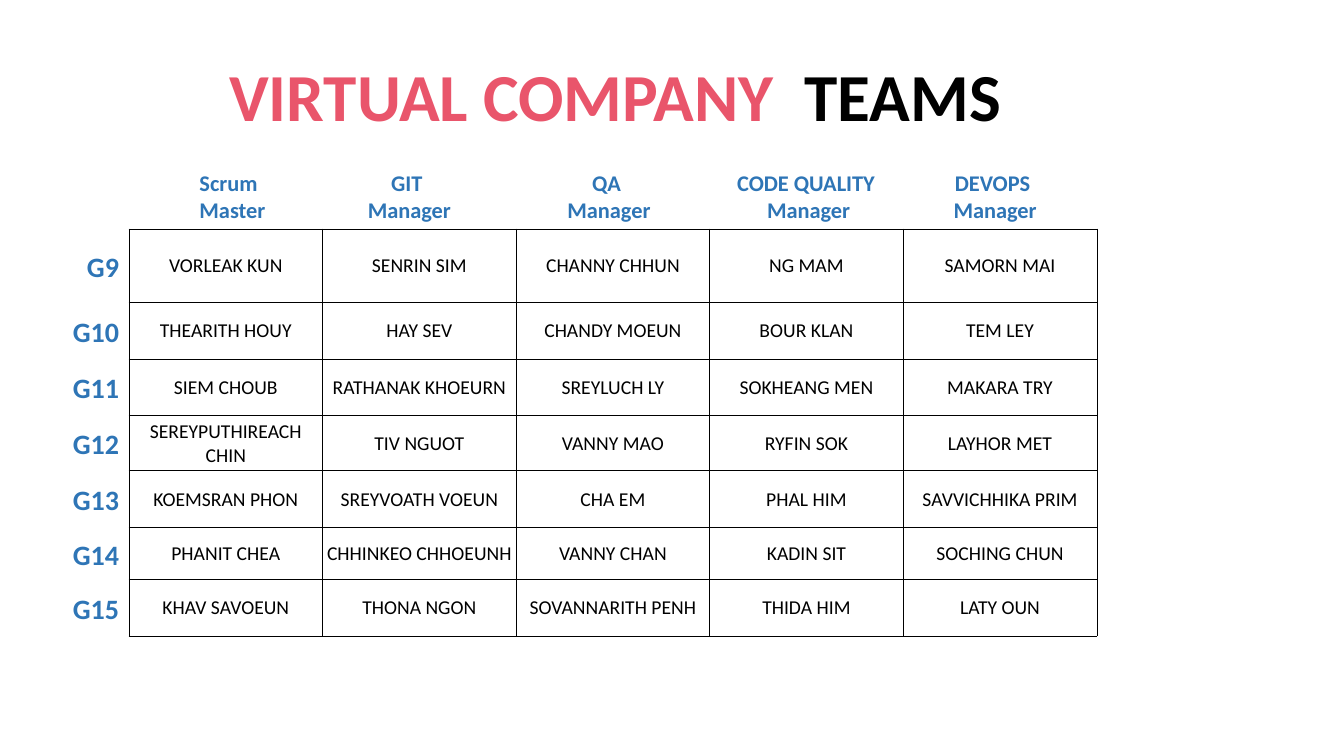
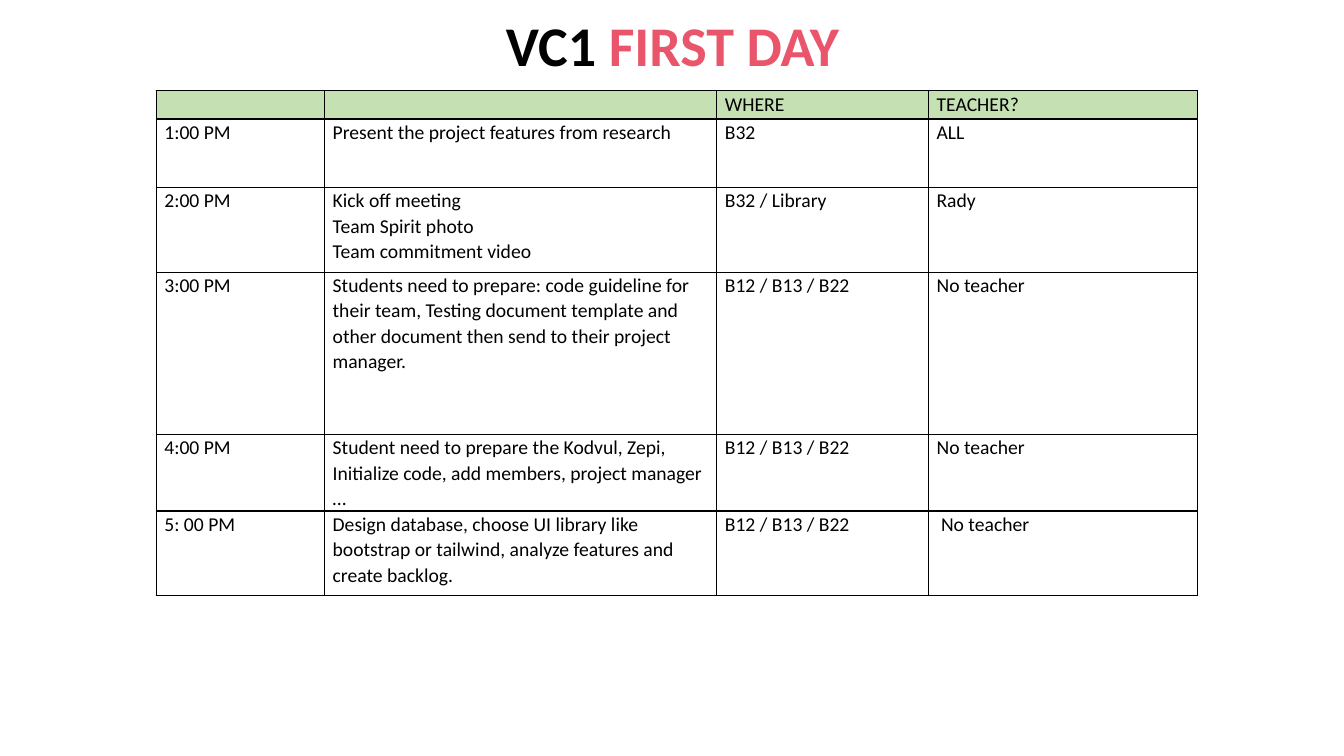
import dataclasses
import lxml.etree
import pptx
import pptx.dml.color
import pptx.enum.text
import pptx.oxml.ns
import pptx.util

Inches = pptx.util.Inches
Pt = pptx.util.Pt
ALIGN = pptx.enum.text.PP_ALIGN
ANCHOR = pptx.enum.text.MSO_ANCHOR
qn = pptx.oxml.ns.qn


@dataclasses.dataclass(frozen=True)
class Theme:
    font: str = "Calibri"
    black: str = "000000"
    white: str = "FFFFFF"
    accent: str = "E9556B"
    label: str = "2E75B6"
    header: str = "C5E0B3"
    team_title: int = 48
    day_title: int = 40
    row_label: int = 20
    column_label: int = 16
    cell: int = 14


@dataclasses.dataclass(frozen=True)
class TableStyle:
    insets: tuple
    border: float
    align: ALIGN = ALIGN.LEFT
    anchor: ANCHOR = ANCHOR.TOP
    line_spacing: float = 1.0


THEME = Theme()
TEAM_STYLE = TableStyle((0.01, 0.01, 0.01, 0), 0.5, ALIGN.CENTER, ANCHOR.MIDDLE)
DAY_STYLE = TableStyle((0.08, 0, 0.08, 0), 1, line_spacing=1.07)

TEAM_LEFT, TEAM_TOP = 1.28, 2.27
TEAM_COLUMNS = [1.92] * 5
TEAM_HEIGHTS = [0.73, 0.56, 0.56, 0.55, 0.56, 0.52, 0.56]
TEAMS = {
    "G9": ["VORLEAK KUN", "SENRIN SIM", "CHANNY CHHUN", "NG MAM", "SAMORN MAI"],
    "G10": ["THEARITH HOUY", "HAY SEV", "CHANDY MOEUN", "BOUR KLAN", "TEM LEY"],
    "G11": ["SIEM CHOUB", "RATHANAK KHOEURN", "SREYLUCH LY", "SOKHEANG MEN", "MAKARA TRY"],
    "G12": ["SEREYPUTHIREACH CHIN", "TIV NGUOT", "VANNY MAO", "RYFIN SOK", "LAYHOR MET"],
    "G13": ["KOEMSRAN PHON", "SREYVOATH VOEUN", "CHA EM", "PHAL HIM", "SAVVICHHIKA PRIM"],
    "G14": ["PHANIT CHEA", "CHHINKEO CHHOEUNH", "VANNY CHAN", "KADIN SIT", "SOCHING CHUN"],
    "G15": ["KHAV SAVOEUN", "THONA NGON", "SOVANNARITH PENH", "THIDA HIM", "LATY OUN"],
}
ROLES = [
    (["Scrum", "Master"], 1.88, 0.92, ALIGN.LEFT),
    (["GIT ", "Manager"], 3.54, 1.04, ALIGN.CENTER),
    (["QA ", "Manager"], 5.52, 1.04, ALIGN.CENTER),
    (["CODE QUALITY ", "Manager"], 7.2, 1.64, ALIGN.CENTER),
    (["DEVOPS ", "Manager"], 9.35, 1.04, ALIGN.CENTER),
]

DAY_COLUMNS = [1.67, 3.89, 2.1, 2.67]
DAY_HEIGHTS = [0.28, 0.68, 0.84, 1.61, 0.76, 0.84]
ROOMS = "B12 / B13 / B22"
SCHEDULE = [
    ["", "", "WHERE", "TEACHER?"],
    ["1:00 PM", "Present the project features from research", "B32", "ALL"],
    ["2:00 PM", "Kick off meeting\nTeam Spirit photo\nTeam commitment video",
     "B32 / Library", "Rady"],
    ["3:00 PM", "Students need to prepare: code guideline for their team, Testing document "
     "template and other document then send to their project manager.", ROOMS, "No teacher"],
    ["4:00 PM", "Student need to prepare the Kodvul, Zepi, Initialize code, add members, "
     "project manager …", ROOMS, "No teacher"],
    ["5: 00 PM", "Design database, choose UI library like bootstrap or tailwind, analyze "
     "features and create backlog.", ROOMS, " No teacher"],
]


def rgb(color):
    return pptx.dml.color.RGBColor.from_string(color)


def add_run(p, text, size, color, bold=False):
    r = p.add_run()
    r.text = text
    r.font.name = THEME.font
    r.font.size = Pt(size)
    r.font.bold = bold
    r.font.color.rgb = rgb(color)


def add_paragraphs(tf, lines, size, color, align, bold=False, line_spacing=1.0):
    for i, line in enumerate(lines):
        p = tf.paragraphs[0] if i == 0 else tf.add_paragraph()
        p.alignment = align
        p.line_spacing = line_spacing
        if line:
            add_run(p, line, size, color, bold)
        else:
            lxml.etree.SubElement(p._p, qn("a:endParaRPr"), sz=str(size * 100))


def add_title(s, box, size, parts):
    sp = s.shapes.title
    sp.left, sp.top, sp.width, sp.height = map(Inches, box)
    tf = sp.text_frame
    tf.word_wrap = False
    tf.auto_size = pptx.enum.text.MSO_AUTO_SIZE.NONE
    for text, color in parts:
        add_run(tf.paragraphs[0], text, size, color, True)


def add_label(s, box, lines, size, align):
    tf = s.shapes.add_textbox(*map(Inches, box)).text_frame
    tf.word_wrap = False
    add_paragraphs(tf, lines, size, THEME.label, align, bold=True)


def set_borders(cell, width):
    tc_pr = cell._tc.get_or_add_tcPr()
    for side in ("a:lnL", "a:lnR", "a:lnT", "a:lnB"):
        ln = lxml.etree.SubElement(tc_pr, qn(side), w=str(Pt(width)))
        fill = lxml.etree.SubElement(ln, qn("a:solidFill"))
        lxml.etree.SubElement(fill, qn("a:srgbClr"), val=THEME.black)


def fill_cell(cell, text, style, color):
    cell.margin_left, cell.margin_top, cell.margin_right, cell.margin_bottom = map(
        Inches, style.insets)
    cell.vertical_anchor = style.anchor
    set_borders(cell, style.border)
    cell.fill.solid()
    cell.fill.fore_color.rgb = rgb(color)
    add_paragraphs(cell.text_frame, text.split("\n"), THEME.cell, THEME.black,
                   style.align, line_spacing=style.line_spacing)


def add_grid(s, left, top, widths, heights, rows, style, header_color):
    frame = s.shapes.add_table(len(rows), len(widths), Inches(left), Inches(top),
                               Inches(sum(widths)), Inches(sum(heights)))
    table = frame.table
    table.first_row = False
    table.horz_banding = False
    for column, width in zip(table.columns, widths):
        column.width = Inches(width)
    for i, (row, height, values) in enumerate(zip(table.rows, heights, rows)):
        row.height = Inches(height)
        for cell, text in zip(row.cells, values):
            fill_cell(cell, text, style, THEME.white if i else header_color)


def build_teams(s):
    add_title(s, (2.13, 0.48, 7.94, 0.91), THEME.team_title,
              [("VIRTUAL COMPANY  ", THEME.accent), ("TEAMS", THEME.black)])
    add_grid(s, TEAM_LEFT, TEAM_TOP, TEAM_COLUMNS, TEAM_HEIGHTS, list(TEAMS.values()),
             TEAM_STYLE, THEME.white)
    width, height = 0.66, 0.44
    top = TEAM_TOP
    for team, row_height in zip(TEAMS, TEAM_HEIGHTS):
        box = (TEAM_LEFT - width, top + (row_height - height) / 2 + 0.01, width, height)
        add_label(s, box, [team], THEME.row_label, ALIGN.RIGHT)
        top += row_height
    for lines, left, width, align in ROLES:
        add_label(s, (left, 1.63, width, 0.64), lines, THEME.column_label, align)


def build_first_day(s):
    add_title(s, (4.9, 0.05, 3.54, 0.77), THEME.day_title,
              [("VC1 ", THEME.black), ("FIRST DAY", THEME.accent)])
    add_grid(s, 1.55, 0.9, DAY_COLUMNS, DAY_HEIGHTS, SCHEDULE, DAY_STYLE, THEME.header)


def main():
    prs = pptx.Presentation()
    prs.slide_width = Inches(13.33)
    prs.slide_height = Inches(7.5)
    title_only = prs.slide_layouts[5]
    for build in (build_teams, build_first_day):
        build(prs.slides.add_slide(title_only))
    prs.save("out.pptx")


if __name__ == "__main__":
    main()
